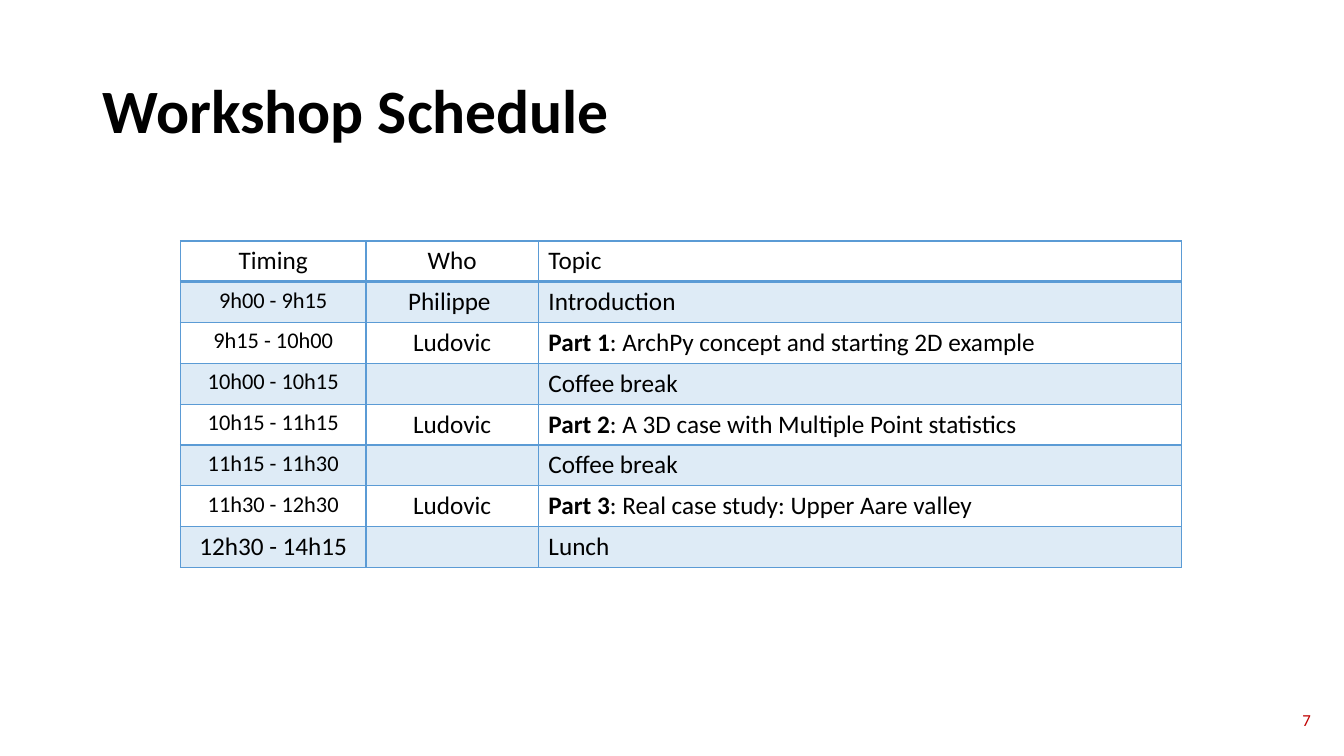
from lxml import etree
from pptx import Presentation
from pptx.dml.color import RGBColor
from pptx.enum.text import MSO_ANCHOR, PP_ALIGN
from pptx.oxml.ns import qn
from pptx.util import Inches, Pt

LEFT, CENTER, RIGHT = PP_ALIGN.LEFT, PP_ALIGN.CENTER, PP_ALIGN.RIGHT
MIDDLE = MSO_ANCHOR.MIDDLE

# Content: timing, who, bold lead of the topic, rest of the topic
TITLE = "Workshop Schedule"
PAGE_NUMBER = "7"
SCHEDULE = [
    ("Timing", "Who", "", "Topic"),
    ("9h00 - 9h15", "Philippe ", "", "Introduction"),
    ("9h15 - 10h00", "Ludovic", "Part 1", ": ArchPy concept and starting 2D example"),
    ("10h00 - 10h15", "", "", "Coffee break"),
    ("10h15 - 11h15", "Ludovic", "Part 2", ": A 3D case with Multiple Point statistics"),
    ("11h15 - 11h30", "", "", "Coffee break"),
    ("11h30 - 12h30", "Ludovic", "Part 3", ": Real case study: Upper Aare valley"),
    ("12h30 - 14h15", "", "", "Lunch"),
]

# Format
FONT = "Calibri"
BLACK, RED, BLUE = "000000", "C00000", "5B9BD5"
BAND_OPACITY = 20
COLUMN_WIDTHS = (1.84, 1.71, 6.38)
ROW_HEIGHT = 0.405
TABLE_LEFT, TABLE_TOP = 1.79, 2.39
TITLE_BOX = (0.92, 0.4, 11.5, 1.45)
PAGE_BOX = (11.94, 6.94, 1.16, 0.4)


def rgb(color):
    return RGBColor.from_string(color)


def add_run(paragraph, text, size, color=BLACK, bold=False):
    run = paragraph.add_run()
    run.text = text
    values = {"name": FONT, "size": Pt(size), "bold": bold}
    for attribute, value in values.items():
        setattr(run.font, attribute, value)
    run.font.color.rgb = rgb(color)


def place(shape, box):
    for side, length in zip(("left", "top", "width", "height"), box):
        setattr(shape, side, Inches(length))


def set_borders(cell, widths):
    properties = cell._tc.get_or_add_tcPr()
    for side, width in widths.items():
        line = etree.SubElement(properties, qn(f"a:ln{side}"), w=str(Pt(width)))
        solid = etree.SubElement(line, qn("a:solidFill"))
        etree.SubElement(solid, qn("a:srgbClr"), val=BLUE)


def set_band(cell, banded):
    if not banded:
        cell.fill.background()
        return
    cell.fill.solid()
    cell.fill.fore_color.rgb = rgb(BLUE)
    color = cell._tc.tcPr.find(qn("a:solidFill")).find(qn("a:srgbClr"))
    etree.SubElement(color, qn("a:alpha"), val=str(BAND_OPACITY * 1000))


def add_title(slide):
    title = slide.shapes.title
    place(title, TITLE_BOX)
    title.text_frame.vertical_anchor = MIDDLE
    paragraph = title.text_frame.paragraphs[0]
    paragraph.alignment = LEFT
    paragraph.line_spacing = 0.9
    add_run(paragraph, TITLE, 44, bold=True)


def add_schedule(slide):
    frame = slide.shapes.add_table(
        len(SCHEDULE), len(COLUMN_WIDTHS), Inches(TABLE_LEFT), Inches(TABLE_TOP),
        Inches(sum(COLUMN_WIDTHS)), Inches(ROW_HEIGHT * len(SCHEDULE)))
    table = frame.table
    table.first_row = table.horz_banding = False
    for column, width in zip(table.columns, COLUMN_WIDTHS):
        column.width = Inches(width)

    last = len(SCHEDULE) - 1
    for row, (timing, who, lead, topic) in enumerate(SCHEDULE):
        table.rows[row].height = Inches(ROW_HEIGHT)
        # Session times are smaller than the header and the closing lunch
        timing_size = 18 if row in (0, last) else 16
        columns = (
            (CENTER, [(timing, timing_size, False)]),
            (CENTER, [(who, 18, False)]),
            (LEFT, [(lead, 18, True), (topic, 18, False)]),
        )
        # The rule under the header is twice as thick
        borders = {"L": 1, "R": 1, "T": 2 if row == 1 else 1, "B": 2 if row == 0 else 1}
        for cell, (alignment, runs) in zip(table.rows[row].cells, columns):
            set_borders(cell, borders)
            set_band(cell, row % 2 == 1)
            paragraph = cell.text_frame.paragraphs[0]
            paragraph.alignment = alignment
            for text, size, bold in runs:
                if text:
                    add_run(paragraph, text, size, bold=bold)


def add_page_number(slide):
    box = slide.shapes.add_textbox(*map(Inches, PAGE_BOX))
    box.text_frame.word_wrap = True
    box.text_frame.vertical_anchor = MIDDLE
    paragraph = box.text_frame.paragraphs[0]
    paragraph.alignment = RIGHT
    add_run(paragraph, PAGE_NUMBER, 12, RED)


def main():
    presentation = Presentation()
    presentation.slide_width = Inches(13.33)
    presentation.slide_height = Inches(7.5)
    slide = presentation.slides.add_slide(presentation.slide_layouts[5])
    add_title(slide)
    add_page_number(slide)
    add_schedule(slide)
    presentation.save("out.pptx")


if __name__ == "__main__":
    main()
